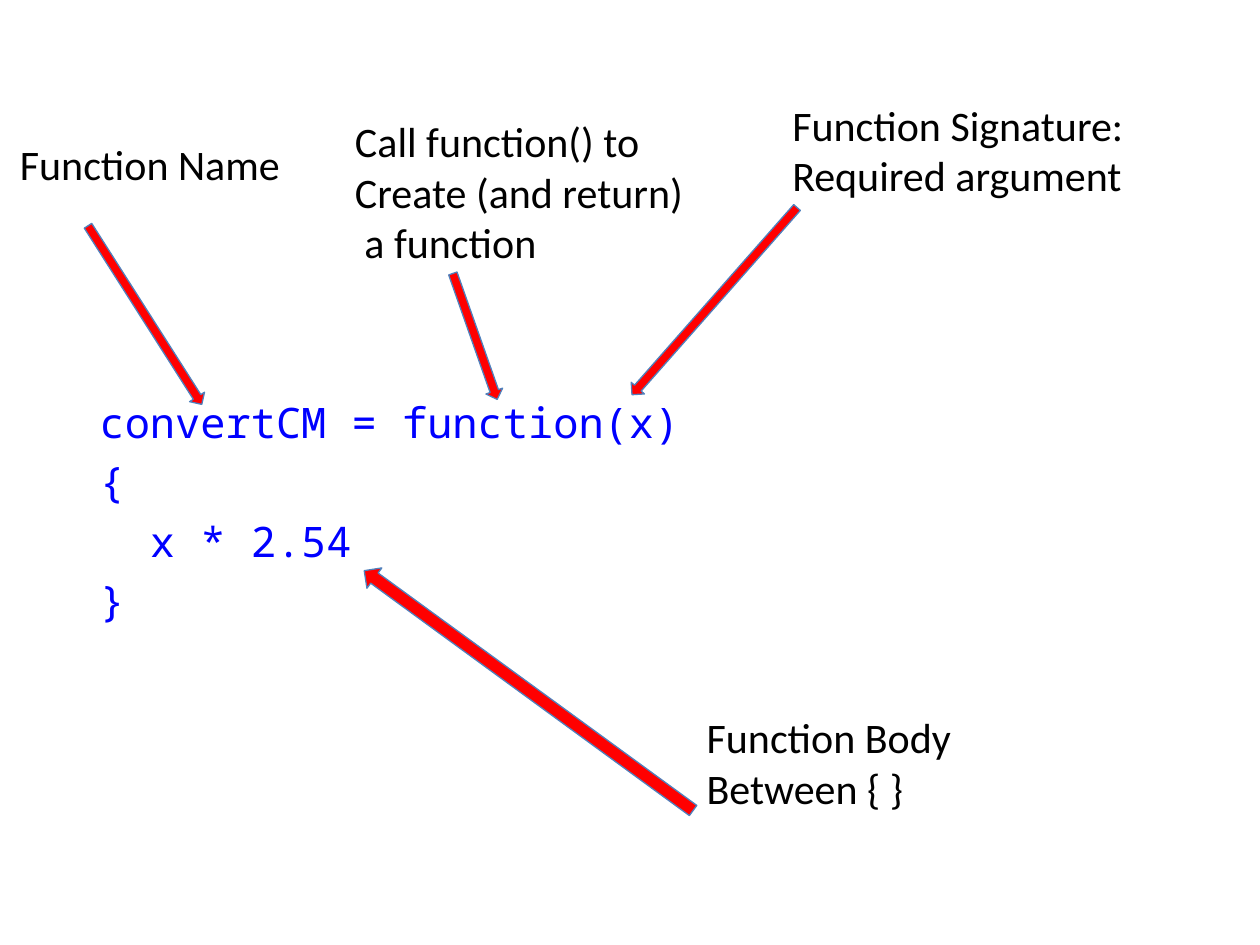
from dataclasses import dataclass
from lxml.etree import SubElement
from pptx import Presentation
from pptx.dml.color import RGBColor
from pptx.enum.shapes import MSO_SHAPE
from pptx.enum.text import MSO_ANCHOR, MSO_AUTO_SIZE
from pptx.oxml.ns import qn
from pptx.util import Pt


@dataclass(frozen=True)
class Theme:
    ink: RGBColor = RGBColor(0, 0, 0)
    code: RGBColor = RGBColor(0, 0, 0xFF)
    arrow: RGBColor = RGBColor(0xFF, 0, 0)
    edge: RGBColor = RGBColor(0x4F, 0x81, 0xBD)
    sans: str = "Calibri"
    mono: str = "Noto Sans Mono"
    size: float = 24


theme = Theme()

# Code lines: indent in characters, text
code = [(0, "convertCM = function(x)"), (0, "{"), (2, "x * 2.54"), (0, "}")]
code_box = (49.7, 53.3, 635, 463.7)
code_drop = 168
line_step = 34
char_width = 0.6 * theme.size

# Labels: left, top, width, height, wrap, lines
labels = [
    (4.3, 75.6, 165.6, 36, False, ["Function Name"]),
    (195.8, 62.6, 203.8, 94.3, False,
     ["Call function() to", "Create (and return)", " a function"]),
    (445.7, 53.3, 228.2, 65.5, True,
     ["Function Signature:", "Required argument"]),
    (396.7, 403.2, 157, 65.5, False, ["Function Body", "Between { }"]),
]

# Arrows: left, top, length, thickness, turn
arrows = [
    (233.3, 187.2, 76.3, 10.1, 70.6),
    (22.3, 175, 121, 10.1, 57.5),
    (185.8, 387.4, 232.6, 14.4, 216.1),
    (337, 167, 142.6, 10.1, 131.4),
]


def write(par, text, font, color):
    run = par.add_run()
    run.text = text
    run.font.name = font
    run.font.size = Pt(theme.size)
    run.font.color.rgb = color


def get_par(frame, i):
    return frame.add_paragraph() if i else frame.paragraphs[0]


deck = Presentation()
deck.slide_width, deck.slide_height = Pt(720), Pt(540)
slide = deck.slides.add_slide(deck.slide_layouts[1])
shapes = slide.shapes
title = shapes.title.element
title.getparent().remove(title)

# Code in the body placeholder
body = slide.placeholders[1]
body.left, body.top, body.width, body.height = map(Pt, code_box)
frame = body.text_frame
frame.auto_size = MSO_AUTO_SIZE.NONE
frame.vertical_anchor = MSO_ANCHOR.TOP
frame.margin_top = Pt(code_drop)
for i, (depth, text) in enumerate(code):
    par = get_par(frame, i)
    par.line_spacing = Pt(line_step)
    par.space_before = Pt(0)
    props = par._p.get_or_add_pPr()
    props.set("marL", str(Pt(depth * char_width)))
    props.set("indent", "0")
    SubElement(props, qn("a:buNone"))
    write(par, text, theme.mono, theme.code)

# Labels
for *box, wrap, lines in labels:
    frame = shapes.add_textbox(*map(Pt, box)).text_frame
    frame.word_wrap = wrap
    frame.auto_size = MSO_AUTO_SIZE.SHAPE_TO_FIT_TEXT
    for i, text in enumerate(lines):
        write(get_par(frame, i), text, theme.sans, theme.ink)

# Arrows
for *box, turn in arrows:
    arrow = shapes.add_shape(MSO_SHAPE.RIGHT_ARROW, *map(Pt, box))
    arrow.rotation = turn
    arrow.shadow.inherit = False
    arrow.fill.solid()
    arrow.fill.fore_color.rgb = theme.arrow
    arrow.line.color.rgb = theme.edge
    arrow.line.width = Pt(0.75)

deck.save("out.pptx")
